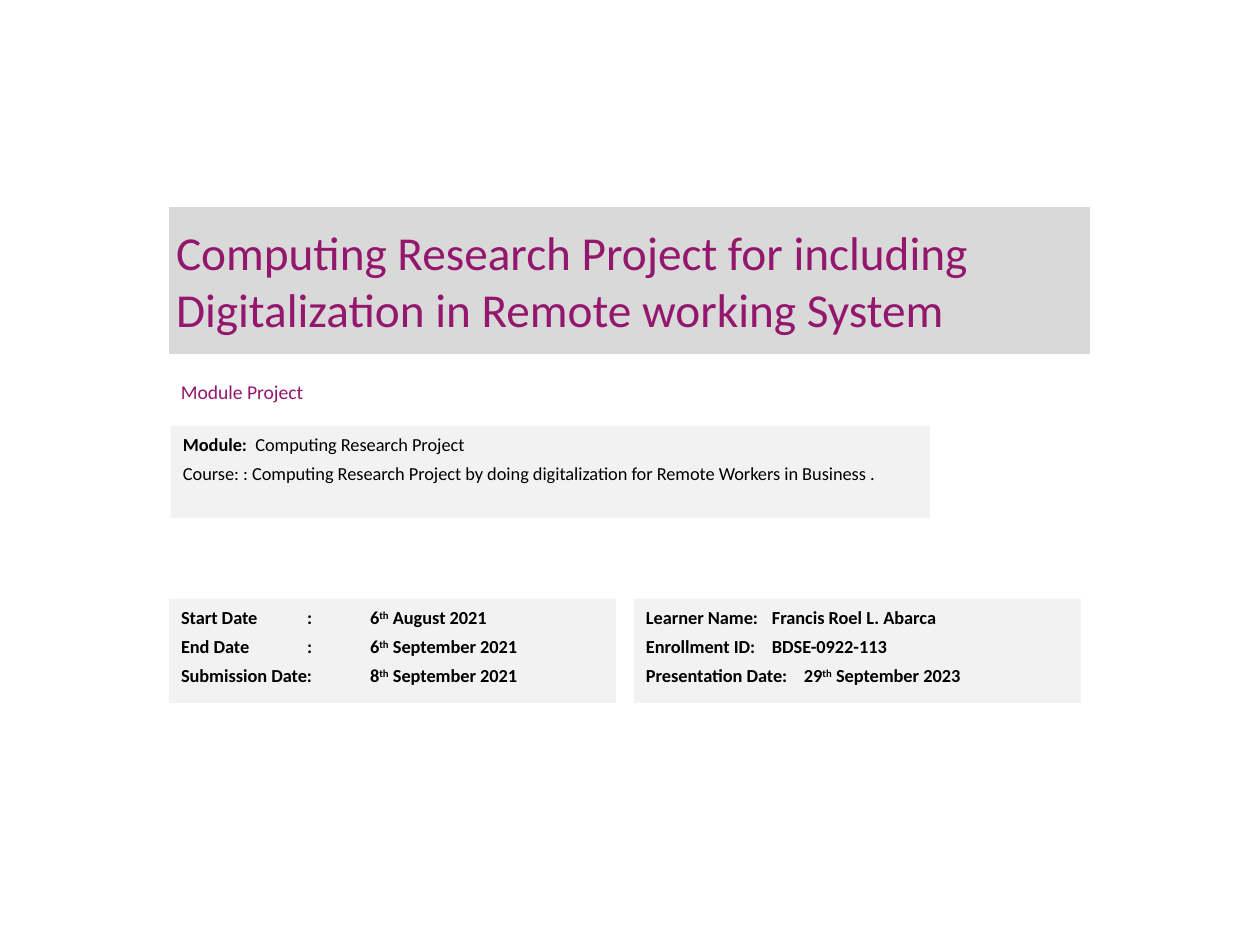
from lxml.etree import SubElement
from pptx import Presentation
from pptx.dml.color import RGBColor
from pptx.enum.shapes import MSO_SHAPE as Shape
from pptx.enum.text import MSO_ANCHOR as Anchor, MSO_AUTO_SIZE as Fit, PP_ALIGN as Align
from pptx.oxml.ns import qn
from pptx.util import Emu, Pt

PX = 914400 // 126
PURPLE, BLACK, GREY, PALE = "93176C", "000000", "D9D9D9", "F2F2F2"


def write(frame, lines, size=10.5, color=BLACK, bold=False, lead=13.5, gap=1.5,
          anchor=Anchor.TOP, pad=(12, 6)):
    """Fill a frame; each line is a list of parts, "^" marks superscript, "*" bold."""
    frame.word_wrap = True
    frame.auto_size = Fit.NONE
    frame.vertical_anchor = anchor
    frame.margin_left = frame.margin_right = Emu(pad[0] * PX)
    frame.margin_top = frame.margin_bottom = Emu(pad[1] * PX)
    for i, parts in enumerate(lines):
        para = frame.add_paragraph() if i else frame.paragraphs[0]
        para.alignment = Align.LEFT
        para.line_spacing = Pt(lead)
        para.space_before = para.space_after = Pt(gap)
        for part in parts:
            if part == "\n":
                para.add_line_break()
                continue
            run = para.add_run()
            run.text = part.lstrip("^*")
            font = run.font
            font.name, font.size = "Calibri", Pt(size)
            font.bold = bold or part.startswith("*")
            font.color.rgb = RGBColor.from_string(color)
            if part.startswith("^"):
                run._r.get_or_add_rPr().set("baseline", "30000")


deck = Presentation()
deck.slide_width, deck.slide_height = Emu(1260 * PX), Emu(945 * PX)
slide = deck.slides.add_slide(deck.slide_layouts[5])

# Title band
title = slide.shapes.title
title.left, title.top, title.width, title.height = [Emu(n * PX) for n in (169, 207, 921, 147)]
title.fill.solid()
title.fill.fore_color.rgb = RGBColor.from_string(GREY)
write(title.text_frame,
      [["Computing Research Project for including ", "\n",
        "Digitalization in Remote working System"]],
      size=27, color=PURPLE, lead=32, gap=0, anchor=Anchor.MIDDLE, pad=(7, 4))

# Subtitle
label = slide.shapes.add_textbox(*[Emu(n * PX) for n in (169, 362, 606, 59)])
write(label.text_frame, [["Module Project"]], size=11.2, color=PURPLE, gap=0,
      anchor=Anchor.MIDDLE)

# Detail panels
dates = [
    ["Start Date\t:\t6", "^th", " August 2021"],
    ["End Date\t:\t6", "^th", " September 2021"],
    ["Submission Date:\t8", "^th", " September 2021"],
]
module = [
    ["*Module: ", " Computing Research Project"],
    ["Course: : Computing Research Project by doing digitalization "
     "for Remote Workers in Business ."],
]
learner = [
    ["Learner Name: \tFrancis Roel L. Abarca"],
    ["Enrollment ID:\tBDSE-0922-113"],
    ["Presentation Date:\t29", "^th", " September 2023"],
]
for box, lines, bold in [
    ((169, 599, 447, 104), dates, True),
    ((171, 426, 759, 92), module, False),
    ((634, 599, 447, 104), learner, True),
]:
    panel = slide.shapes.add_shape(Shape.RECTANGLE, *[Emu(n * PX) for n in box])
    panel.shadow.inherit = False
    panel.fill.solid()
    panel.fill.fore_color.rgb = RGBColor.from_string(PALE)
    panel.line.fill.background()
    write(panel.text_frame, lines, bold=bold)

# The long label of the last learner line needs its own tab stop
last = panel.text_frame.paragraphs[-1]
tabs = SubElement(last._p.get_or_add_pPr(), qn("a:tabLst"))
SubElement(tabs, qn("a:tab"), pos=str(158 * PX), algn="l")

deck.save("out.pptx")
